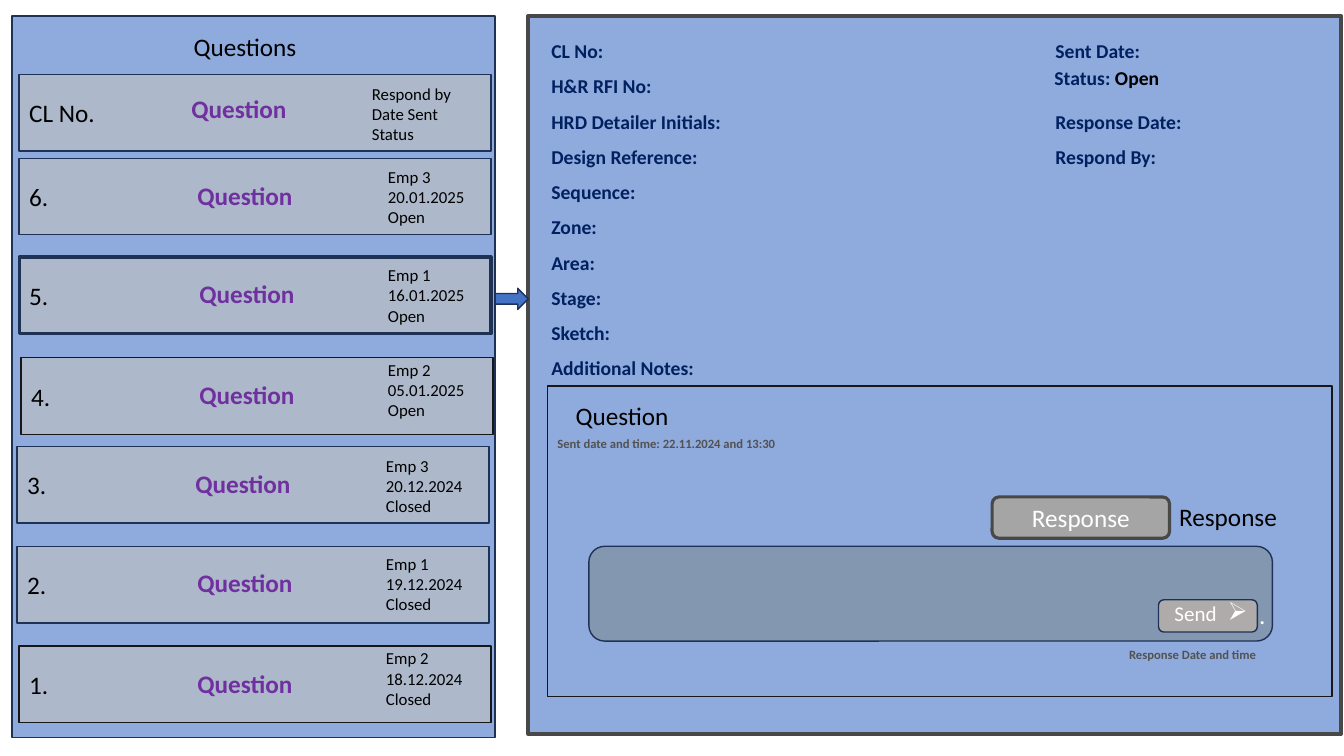
from lxml import etree
from pptx import Presentation
from pptx import util as u
from pptx.dml.color import RGBColor
from pptx.enum import shapes, text
from pptx.oxml import ns

# Content: question list as label, details, row (x, y), badge (x, y), details (x, y), border, border pt
QUESTIONS = [
    ("CL No.", ["Respond by", "Date Sent", "Status"], (19, 74), (162, 87), (359, 78), "navy", 1),
    ("6.", ["Emp 3", "20.01.2025", "Open"], (19, 157), (168, 173), (375, 160), "navy", 1),
    ("5.", ["Emp 1", "16.01.2025", "Open"], (19, 255), (170, 271), (375, 258), "navy", 2.25),
    ("4.", ["Emp 2", "05.01.2025", "Open"], (21, 355), (170, 371), (375, 352), "ink", 1),
    ("3.", ["Emp 3", "20.12.2024", "Closed"], (17, 443), (166, 459), (373, 447), "navy", 1),
    ("2.", ["Emp 1", "19.12.2024", "Closed"], (17, 542), (168, 557), (373, 544), "navy", 1),
    ("1.", ["Emp 2", "18.12.2024", "Closed"], (19, 641), (168, 658), (373, 638), "ink", 1),
]
FIELDS = [
    "CL No:\tSent Date:", "H&R RFI No:", "HRD Detailer Initials:\tResponse Date:",
    "Design Reference:\tRespond By:", "Sequence:", "Zone:", "Area:", "Stage:",
    "Sketch:", "Additional Notes:",
]

# Theme and scale
THEME = {
    "font": "Calibri",
    "colors": {
        "panel": "8FAADC", "row": "ADB9CA", "navy": "1E3256", "ink": "181717",
        "frame": "484848", "arrow": "4472C4", "reply": "8497B0", "send": "AFABAB",
        "button": "A5A5A5", "black": "000000", "white": "FFFFFF", "label": "002060",
        "accent": "7030A0", "muted": "525252",
    },
    "sizes": {"head": 18, "send": 15, "field": 14, "detail": 12, "note": 9},
}
PX = u.Inches(1) // 100
ROW_W, ROW_H = 468, 76
BADGE_W, BADGE_H = 150, 41
FIELD_TAB = 500

RECT = shapes.MSO_SHAPE.RECTANGLE
ROUND = shapes.MSO_SHAPE.ROUNDED_RECTANGLE
LEFT, CENTER, JUSTIFY = text.PP_ALIGN.LEFT, text.PP_ALIGN.CENTER, text.PP_ALIGN.JUSTIFY
MIDDLE, TOP = text.MSO_ANCHOR.MIDDLE, text.MSO_ANCHOR.TOP


def rgb(name):
    return RGBColor.from_string(THEME["colors"][name])


def write(sp, lines, size, color="black", bold=False, align=LEFT, anchor=TOP, **spacing):
    """Each line is a string or a list of (text, color) runs."""
    tf = sp.text_frame
    tf.word_wrap, tf.vertical_anchor = True, anchor
    for i, line in enumerate(lines):
        p = tf.paragraphs[0] if i == 0 else tf.add_paragraph()
        for key, value in {"alignment": align, **spacing}.items():
            setattr(p, key, value)
        for words, tint in [(line, color)] if isinstance(line, str) else line:
            r = p.add_run()
            r.text = words
            style = {"name": THEME["font"], "size": u.Pt(THEME["sizes"][size]), "bold": bold}
            for key, value in style.items():
                setattr(r.font, key, value)
            r.font.color.rgb = rgb(tint)
    return tf


def add_box(s, kind, at, fill, line, width=1):
    sp = s.shapes.add_shape(kind, *(v * PX for v in at))
    sp.shadow.inherit = False
    if fill:
        sp.fill.solid()
        sp.fill.fore_color.rgb = rgb(fill)
    else:
        sp.fill.background()
    sp.line.color.rgb = rgb(line)
    sp.line.width = u.Pt(width)
    return sp


def add_text(s, at, lines, size, **style):
    return write(s.shapes.add_textbox(*(v * PX for v in at)), lines, size, **style)


def add_heading(s, at, words):
    sp = add_box(s, ROUND, at, "panel", "panel")
    write(sp, [words], "head", align=CENTER, anchor=MIDDLE)


def add_question_list(s):
    add_box(s, RECT, (12, 16, 479, 716), "panel", "navy")
    add_heading(s, (177, 27, 132, 39), "Questions")
    for label, details, row_at, badge_at, detail_at, border, width in QUESTIONS:
        row = add_box(s, RECT, (*row_at, ROW_W, ROW_H), "row", border, width)
        write(row, [label], "head", anchor=MIDDLE)
        badge = add_box(s, ROUND, (*badge_at, BADGE_W, BADGE_H), "row", "row")
        write(badge, ["Question"], "head", "accent", True, CENTER, MIDDLE)
        add_text(s, (*detail_at, 106, 71), details, "detail")


def add_fields(s):
    tf = add_text(s, (537, 22, 787, 360), FIELDS, "field", color="label", bold=True,
                  align=JUSTIFY, line_spacing=1.5)
    for p in tf.paragraphs:
        tabs = etree.SubElement(p._p.get_or_add_pPr(), ns.qn("a:tabLst"))
        etree.SubElement(tabs, ns.qn("a:tab"), pos=str(FIELD_TAB * PX), algn="l")
    add_text(s, (1036, 61, 172, 34), [[("Status: ", "label"), ("Open", "black")]],
             "field", bold=True, align=JUSTIFY)


def add_response(s):
    note = add_box(s, RECT, (1110, 637, 153, 25), None, "panel", 0.75)
    write(note, ["Response Date and time"], "note", "muted", True)
    add_box(s, ROUND, (584, 542, 678, 94), "reply", "navy")
    add_box(s, ROUND, (1149, 595, 98, 32), "send", "navy")
    add_text(s, (1155, 591, 88, 35), ["Send"], "send", color="white")
    # Arrow bullet on the send button: Wingdings draws Ø as an arrowhead
    tf = add_text(s, (1208, 590, 50, 40), ["."], "head", color="white")
    pPr = tf.paragraphs[0]._p.get_or_add_pPr()
    pPr.set("marL", str(31 * PX))
    pPr.set("indent", str(-31 * PX))
    etree.SubElement(pPr, ns.qn("a:buFont"), typeface="Wingdings", pitchFamily="2", charset="2")
    etree.SubElement(pPr, ns.qn("a:buChar"), char="Ø")
    button = add_box(s, ROUND, (984, 493, 176, 41), "button", "frame", 2.25)
    write(button, ["Response"], "head", "white", align=CENTER, anchor=MIDDLE)


def main():
    prs = Presentation()
    prs.slide_width, prs.slide_height = 1333 * PX, 750 * PX
    s = prs.slides.add_slide(prs.slide_layouts[6])

    # Detail panel and its question box
    add_box(s, RECT, (524, 16, 806, 712), "panel", "frame", 3)
    add_box(s, RECT, (543, 383, 778, 308), "panel", "ink")
    add_heading(s, (1154, 493, 128, 39), "Response")
    add_heading(s, (553, 393, 128, 39), "Question")
    add_text(s, (543, 428, 251, 25), ["Sent date and time: 22.11.2024 and 13:30"],
             "note", color="muted", bold=True, align=JUSTIFY)

    # Selected question points to its details
    add_box(s, shapes.MSO_SHAPE.RIGHT_ARROW, (484, 286, 40, 21), "arrow", "navy")
    add_question_list(s)
    add_fields(s)
    add_response(s)
    prs.save("out.pptx")


if __name__ == "__main__":
    main()
